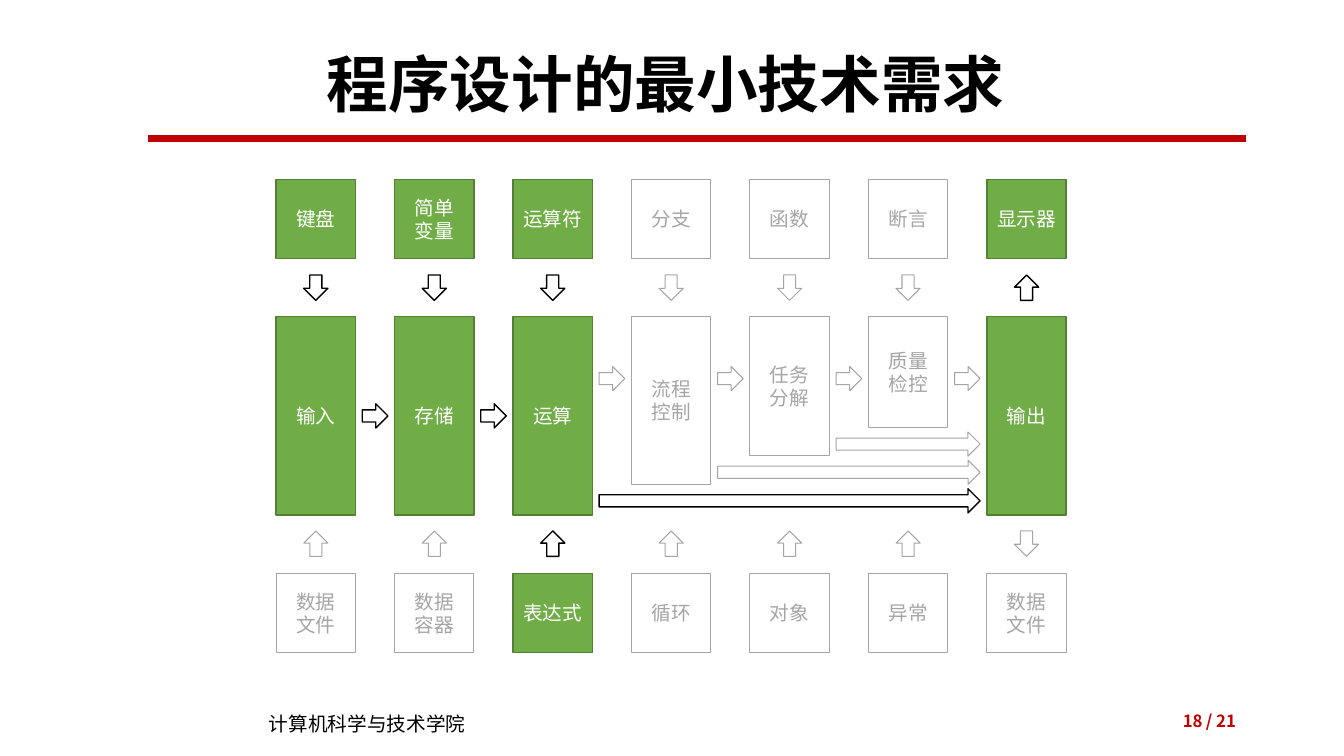
from lxml.etree import SubElement
from pptx import Presentation
from pptx.dml.color import RGBColor
from pptx.enum.shapes import MSO_CONNECTOR, MSO_SHAPE
from pptx.enum.text import MSO_ANCHOR, MSO_AUTO_SIZE, PP_ALIGN
from pptx.oxml.ns import qn
from pptx.util import Cm, Pt

COLOURS = {
    "green": "70AD47", "dark green": "538035", "grey": "A5A5A5",
    "white": "FFFFFF", "black": "000000", "red": "C00000",
}
CJK_FONT = "Noto Sans CJK SC"
BOX_FONT = {"name": CJK_FONT, "size": Pt(14)}
PAGE_FONT = {"name": CJK_FONT, "size": Pt(12), "bold": True}
TITLE_FONT = {"name": "Calibri", "size": Pt(44), "bold": True}
BOX_FRAME = {
    "word_wrap": True, "vertical_anchor": MSO_ANCHOR.MIDDLE,
    "margin_left": 0, "margin_right": 0,
}
LABEL_FRAME = {
    "word_wrap": True, "vertical_anchor": MSO_ANCHOR.MIDDLE,
    "auto_size": MSO_AUTO_SIZE.NONE,
}

# Grid in centimetres
FIRST_LEFT, LAST_LEFT, BOX = 6.96, 24.87, 2.0
PITCH = (LAST_LEFT - FIRST_LEFT) / 6
TOP_ROW, STAGE_ROW, BOTTOM_ROW = 4.52, 7.98, 14.45
UPPER_ARROWS, LOWER_ARROWS = 7.25, 13.7
ARROW_WIDTH, ARROW_LENGTH, ARROW_GAP = 0.61, 0.64, 0.17
DOWN, UP, RIGHT = 0, 180, 270
OUTPUT = 6

# Per column: stage, height, needed; top box, needed; bottom box, needed
COLUMNS = [
    ("输入", 5.0, True, "键盘", True, "数据\n文件", False),
    ("存储", 5.0, True, "简单\n变量", True, "数据\n容器", False),
    ("运算", 5.0, True, "运算符", True, "表达式", True),
    ("流程\n控制", 4.22, False, "分支", False, "循环", False),
    ("任务\n分解", 3.51, False, "函数", False, "对象", False),
    ("质量\n检控", 2.79, False, "断言", False, "异常", False),
    ("输出", 5.0, True, "显示器", True, "数据\n文件", False),
]
# From column, to column, height on the slide, needed
LINKS = [
    (0, 1, 10.48, True), (1, 2, 10.48, True),
    (2, 3, 9.54, False), (3, 4, 9.54, False),
    (4, 5, 9.54, False), (5, OUTPUT, 9.54, False),
    (2, OUTPUT, 12.62, True), (3, OUTPUT, 11.9, False),
    (4, OUTPUT, 11.19, False),
]


def colour(name):
    return RGBColor.from_string(COLOURS[name])


def apply(target, values):
    for attribute, value in values.items():
        setattr(target, attribute, value)


def write(frame, text, font, ink, align, frame_format):
    apply(frame, frame_format)
    frame.text = text
    for paragraph in frame.paragraphs:
        paragraph.alignment = align
        for run in paragraph.runs:
            apply(run.font, font)
            run.font.color.rgb = colour(ink)
            properties = run._r.get_or_add_rPr()
            SubElement(properties, qn("a:ea"), typeface=CJK_FONT)


def add_outlined(slide, kind, bounds, fill, line, weight):
    outlined = slide.shapes.add_shape(kind, *(Cm(length) for length in bounds))
    outlined.shadow.inherit = False
    if fill:
        outlined.fill.solid()
        outlined.fill.fore_color.rgb = colour(fill)
    else:
        outlined.fill.background()
    outlined.line.color.rgb = colour(line)
    outlined.line.width = Pt(weight)
    return outlined


def add_box(slide, text, left, top, height, needed):
    look = ("green", "dark green", 1) if needed else (None, "grey", 0.75)
    box = add_outlined(slide, MSO_SHAPE.RECTANGLE, (left, top, BOX, height), *look)
    write(box.text_frame, text, BOX_FONT, "white" if needed else "grey",
          PP_ALIGN.CENTER, BOX_FRAME)


def add_arrow(slide, centre_x, centre_y, length, direction, needed):
    look = ("white", "black", 1) if needed else (None, "grey", 0.75)
    bounds = (centre_x - ARROW_WIDTH / 2, centre_y - length / 2, ARROW_WIDTH, length)
    arrow = add_outlined(slide, MSO_SHAPE.DOWN_ARROW, bounds, *look)
    arrow.rotation = direction


def add_label(slide, text, bounds, font, ink, align):
    label = slide.shapes.add_textbox(*(Cm(length) for length in bounds))
    write(label.text_frame, text, font, ink, align, LABEL_FRAME)


def add_title(slide, text):
    title = slide.shapes.title
    apply(title, {"left": Cm(2.16), "top": Cm(1.02), "width": Cm(29.24), "height": Cm(2.39)})
    write(title.text_frame, text, TITLE_FONT, "black", PP_ALIGN.CENTER, LABEL_FRAME)
    title.text_frame.paragraphs[0].line_spacing = 0.9


def add_rule(slide):
    rule = slide.shapes.add_connector(
        MSO_CONNECTOR.STRAIGHT, Cm(3.73), Cm(3.49), Cm(31.4), Cm(3.49))
    rule.line.color.rgb = colour("red")
    rule.line.width = Pt(4.5)
    SubElement(rule._element.spPr, qn("a:effectLst"))


def add_column(slide, index, column):
    stage, height, needed, source, source_needed, detail, detail_needed = column
    left = FIRST_LEFT + index * PITCH
    centre = left + BOX / 2
    inward, outward = (UP, DOWN) if index == OUTPUT else (DOWN, UP)
    add_box(slide, source, left, TOP_ROW, BOX, source_needed)
    add_arrow(slide, centre, UPPER_ARROWS, ARROW_LENGTH, inward, source_needed)
    add_box(slide, stage, left, STAGE_ROW, height, needed)
    add_arrow(slide, centre, LOWER_ARROWS, ARROW_LENGTH, outward, detail_needed)
    add_box(slide, detail, left, BOTTOM_ROW, BOX, detail_needed)


def add_link(slide, first, last, centre_y, needed):
    start = FIRST_LEFT + first * PITCH + BOX + ARROW_GAP
    end = FIRST_LEFT + last * PITCH - ARROW_GAP
    add_arrow(slide, (start + end) / 2, centre_y, end - start, RIGHT, needed)


def main():
    deck = Presentation()
    apply(deck, {"slide_width": Cm(33.87), "slide_height": Cm(19.05)})
    slide = deck.slides.add_slide(deck.slide_layouts[5])

    # Heading
    add_title(slide, "程序设计的最小技术需求")
    add_rule(slide)

    # Diagram
    for index, column in enumerate(COLUMNS):
        add_column(slide, index, column)
    for link in LINKS:
        add_link(slide, *link)

    # Footer
    add_label(slide, "计算机科学与技术学院", (6.53, 17.81, 7.42, 0.86),
              BOX_FONT, "black", PP_ALIGN.LEFT)
    add_label(slide, "18", (23.93, 17.65, 6.63, 1.02), PAGE_FONT, "red", PP_ALIGN.RIGHT)
    add_label(slide, "/ 21", (29.49, 17.65, 1.91, 1.02), PAGE_FONT, "red", PP_ALIGN.RIGHT)

    deck.save("out.pptx")


if __name__ == "__main__":
    main()
